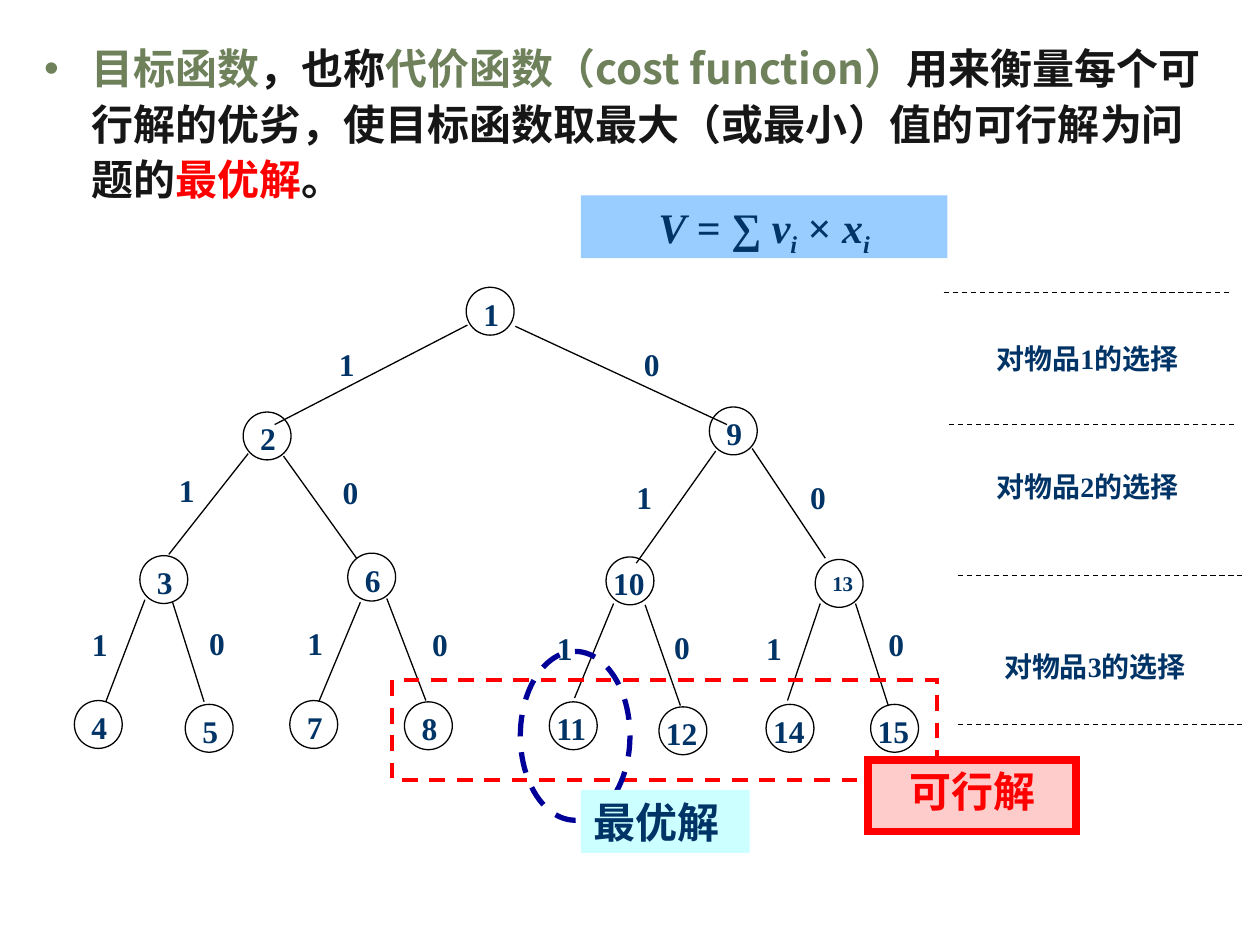
from lxml import etree
from pptx import Presentation
from pptx.dml.color import RGBColor
from pptx.enum.dml import MSO_LINE
from pptx.enum.shapes import MSO_CONNECTOR, MSO_SHAPE
from pptx.enum.text import MSO_ANCHOR, PP_ALIGN
from pptx.oxml.ns import qn
from pptx.util import Inches, Pt

DASH = MSO_LINE.DASH
RECT, OVAL = MSO_SHAPE.RECTANGLE, MSO_SHAPE.OVAL
LEFT, MID, JUST = PP_ALIGN.LEFT, PP_ALIGN.CENTER, PP_ALIGN.JUSTIFY
SERIF, SANS = "Times New Roman", "Noto Sans CJK SC"
HUE = dict(green="6E815B", ink="161616", red="FF0000", navy="003366", black="000000",
           pink="FFCCCC", sky="99CCFF", blue="000099", aqua="CCFFFF")

INTRO = [("目标函数", "green"), ("\uff0c也称", "ink"),
         ("代价函数\uff08cost function\uff09", "green"),
         ("用来衡量每个可行解的优劣\uff0c使目标函数取最大"
          "\uff08或最小\uff09值的可行解为问题的", "ink"),
         ("最优解", "red"), ("\u3002", "ink")]
FORMULA = [("V", True, 0), (" = ", False, 0), ("∑ v", True, 0), ("i", True, -25000),
           (" × ", False, 0), ("x", True, 0), ("i", True, -25000)]
RULES = [(7.49, 2.32), (7.53, 3.37), (7.6, 4.57), (7.6, 5.75)]
STAGES = [(7.91, 2.76), (7.91, 3.78), (7.97, 5.21)]
NODES = {1: (3.7, 2.28), 2: (1.93, 3.27), 3: (1.11, 4.41), 4: (0.59, 5.56),
         5: (1.47, 5.59), 6: (2.76, 4.39), 7: (2.3, 5.56), 8: (3.21, 5.57),
         9: (5.63, 3.23), 10: (4.81, 4.42), 11: (4.36, 5.57), 12: (5.23, 5.61),
         13: (6.47, 4.44), 14: (6.08, 5.59), 15: (6.91, 5.59)}
EDGES = [
    ((3.71, 2.58, 2.18, 3.37), "1", (2.69, 2.72)),
    ((4.09, 2.59, 5.77, 3.37), "0", (5.11, 2.72)),
    ((1.97, 3.6, 1.34, 4.4), "1", (1.42, 3.72)),
    ((2.25, 3.62, 2.83, 4.43), "0", (2.72, 3.73)),
    ((5.68, 3.58, 5.05, 4.47), "1", (5.05, 3.77)),
    ((5.97, 3.56, 6.55, 4.43), "0", (6.43, 3.77)),
    ((1.15, 4.76, 0.84, 5.57), "1", (0.73, 4.94)),
    ((1.37, 4.78, 1.62, 5.57), "0", (1.66, 4.93)),
    ((2.86, 4.78, 2.53, 5.57), "1", (2.44, 4.93)),
    ((3.07, 4.75, 3.38, 5.56), "0", (3.43, 4.94)),
    ((4.87, 4.79, 4.56, 5.54), "1", (4.42, 4.97)),
    ((5.12, 4.8, 5.4, 5.6), "0", (5.35, 4.96)),
    ((6.51, 4.79, 6.25, 5.56), "1", (6.08, 4.97)),
    ((6.79, 4.79, 7.05, 5.6), "0", (7.05, 4.94)),
]

deck = Presentation()
deck.slide_width, deck.slide_height = Inches(10), Inches(7.5)
slide = deck.slides.add_slide(deck.slide_layouts[1])
shapes = slide.shapes


def color(name):
    return RGBColor.from_string(HUE[name])


def style(para, size, hue="navy", font=SERIF, align=LEFT, space=None):
    para.alignment, para.line_spacing = align, space
    for part in (para, *para.runs):
        part.font.size, part.font.name, part.font.bold = Pt(size), font, True
        part.font.color.rgb = color(hue)
    for run in para.runs:
        latin = run._r.get_or_add_rPr().find(qn("a:latin"))
        latin.addnext(etree.Element(qn("a:ea"), typeface=SANS))


def inset(frame, left, top, right, base):
    frame.margin_left, frame.margin_top = Inches(left), Inches(top)
    frame.margin_right, frame.margin_bottom = Inches(right), Inches(base)
    frame.vertical_anchor, frame.word_wrap = MSO_ANCHOR.TOP, True


def line(ends, dash=None):
    link = shapes.add_connector(MSO_CONNECTOR.STRAIGHT, *map(Inches, ends))
    link.line.color.rgb, link.line.width = color("black"), Pt(0.75)
    if dash:
        link.line.dash_style = dash
    etree.SubElement(link._element.spPr, qn("a:effectLst"))


def label(text, box, size, top):
    frame = shapes.add_textbox(*map(Inches, box)).text_frame
    inset(frame, 0, top, 0, 0)
    frame.text = text
    style(frame.paragraphs[0], size, align=JUST, space=0.8)


def shape(kind, box, fill=None, edge=None, width=0.75, dash=None):
    item = shapes.add_shape(kind, *map(Inches, box))
    item.shadow.inherit = False
    if fill:
        item.fill.solid()
        item.fill.fore_color.rgb = color(fill)
    else:
        item.fill.background()
    if edge:
        item.line.color.rgb, item.line.width = color(edge), Pt(width)
        if dash:
            item.line.dash_style = dash
        etree.SubElement(item.line._get_or_add_ln(), qn("a:miter"), lim="800000")
    else:
        item.line.fill.background()
    inset(item.text_frame, 0.1, 0.05, 0.1, 0.05)
    return item


title = shapes.title._element
title.getparent().remove(title)
body = slide.placeholders[1]
body.left, body.top, body.width, body.height = map(Inches, (0.25, 0.25, 9.42, 4.29))
intro = body.text_frame.paragraphs[0]
for text, hue in INTRO:
    intro.add_run().text = text
style(intro, 24, font=SANS, space=1.1)
for run, (text, hue) in zip(intro.runs, INTRO):
    run.font.color.rgb = color(hue)
intro.space_before = Pt(12)
props = intro._p.get_or_add_pPr()
props.set("marL", str(Inches(0.38)))
props.set("indent", str(-Inches(0.38)))
props.find(qn("a:defRPr")).addprevious(etree.Element(qn("a:buChar"), char="•"))

for x, y in RULES:
    line((x, y, x + 2.26, y), DASH)
for step, (x, y) in enumerate(STAGES, 1):
    label(f"对物品{step}的选择", (x, y, 1.66, 0.25), 16, 0)
for ends, bit, (x, y) in EDGES:
    line(ends)
    label(bit, (x, y, 0.25, 0.27), 18, 0.08)
for num, (x, y) in NODES.items():
    node = shape(OVAL, (x, y, 0.38, 0.38), edge="black")
    size = 12 if num == 13 else 18
    inset(node.text_frame, 0 if num > 9 and size == 18 else 0.08, 0.08, 0, 0)
    node.text_frame.text = str(num)
    style(node.text_frame.paragraphs[0], size, align=JUST, space=0.72)

shape(RECT, (3.11, 5.4, 4.33, 0.79), edge="red", width=2.25, dash=DASH)
valid = shape(RECT, (6.89, 6.03, 1.65, 0.57), "pink", "red", 4.5)
valid.text_frame.text = "可行解"
style(valid.text_frame.paragraphs[0], 24, "red", align=MID)

value = shape(RECT, (4.61, 1.55, 2.91, 0.5), "sky").text_frame.paragraphs[0]
for text, slant, shift in FORMULA:
    value.add_run().text = text
style(value, 24, align=MID)
for run, (text, slant, shift) in zip(value.runs, FORMULA):
    run.font.italic = slant
    if shift:
        run._r.get_or_add_rPr().set("baseline", str(shift))

shape(OVAL, (4.13, 5.17, 0.87, 1.34), edge="blue", width=3, dash=DASH)
best = shape(RECT, (4.61, 6.27, 1.34, 0.5), "aqua")
best.text_frame.text = "最优解"
style(best.text_frame.paragraphs[0], 24)
deck.save("out.pptx")
